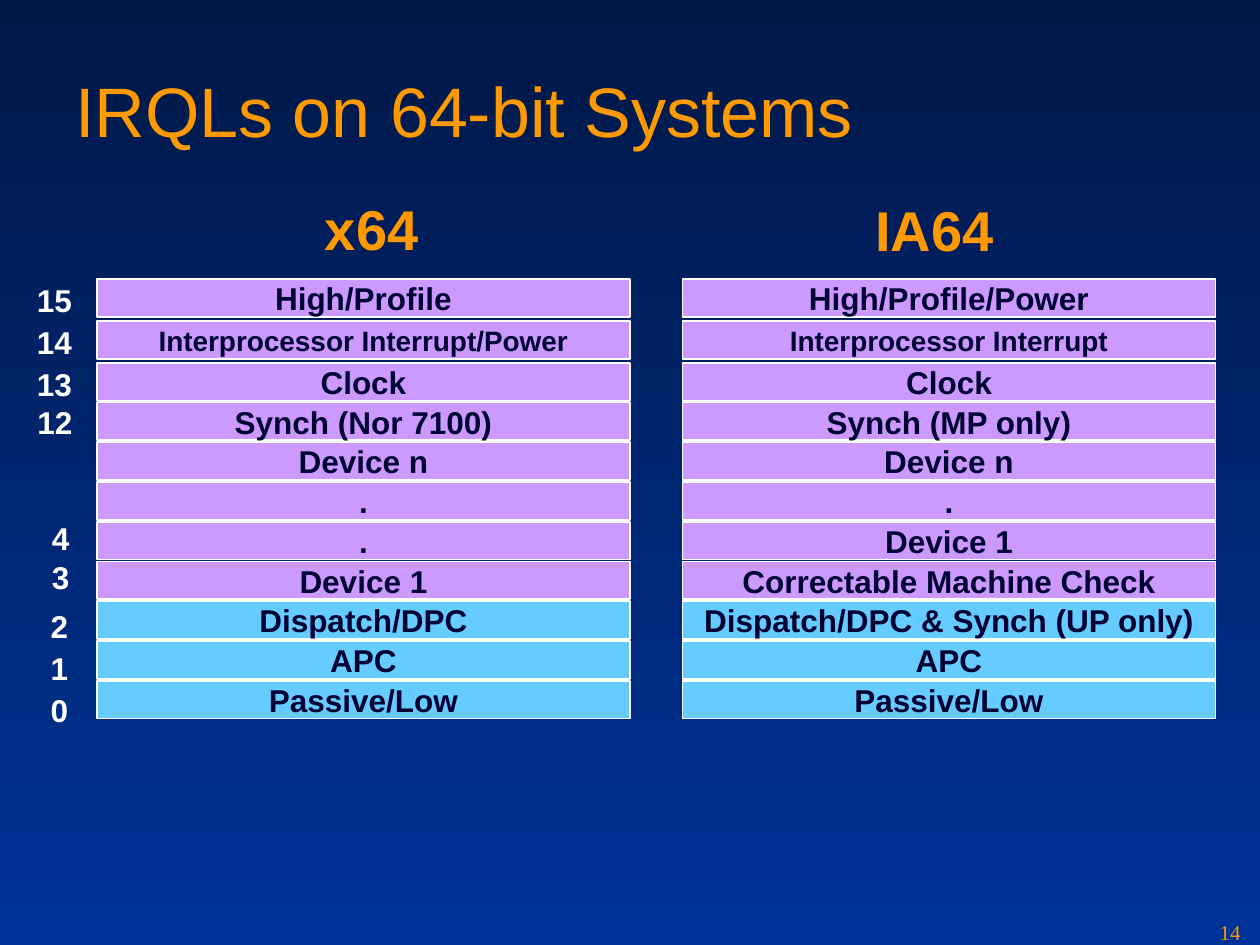
"""Build a slide comparing interrupt request levels on x64 and IA64."""
from pptx import Presentation
from pptx.dml.color import RGBColor
from pptx.enum import shapes, text
from pptx.util import Pt

NAVY = RGBColor(0x00, 0x17, 0x46)
BLUE = RGBColor(0x00, 0x33, 0x99)
ORANGE = RGBColor(0xFE, 0x99, 0x00)
WHITE = RGBColor(0xFF, 0xFF, 0xFF)
INK = RGBColor(0x00, 0x00, 0x33)
PURPLE = RGBColor(0xCC, 0x99, 0xFF)
SKY = RGBColor(0x66, 0xCC, 0xFF)

ROW_W, ROW_H = 304.6, 21.6
ROW_TOPS = [159.6, 183.6] + [207.4 + 22.7 * i for i in range(9)]
SOFTWARE_LEVELS = 3

X64 = ["High/Profile", "Interprocessor Interrupt/Power", "Clock",
       "Synch (Nor 7100)", "Device n", ".", ".", "Device 1",
       "Dispatch/DPC", "APC", "Passive/Low"]
IA64 = ["High/Profile/Power", "Interprocessor Interrupt", "Clock",
        "Synch (MP only)", "Device n", ".", "Device 1",
        "Correctable Machine Check", "Dispatch/DPC & Synch (UP only)",
        "APC", "Passive/Low"]
LEVELS = [("15", 14, 157), ("14", 14, 181.2), ("13", 14, 205.2),
          ("12", 14.2, 227), ("4", 22.6, 293), ("3", 22.6, 315.4),
          ("2", 21.9, 343.4), ("1", 21.9, 367.2), ("0", 21.9, 391.4)]


def set_background(s):
    fill = s.background.fill
    fill.gradient()
    fill.gradient_angle = 270
    for stop, color, position in zip(fill.gradient_stops, (NAVY, BLUE), (0, 1)):
        stop.color.rgb = color
        stop.position = position


def write(sp, words, size, color, bold=True, font="Arial"):
    tf = sp.text_frame
    tf.word_wrap = False
    p = tf.paragraphs[0]
    p.text = words
    p.font.size = Pt(size)
    p.font.name = font
    p.font.bold = bold
    p.font.color.rgb = color
    return tf


def add_label(s, words, x, y, w, h, size, color, **style):
    sp = s.shapes.add_textbox(Pt(x), Pt(y), Pt(w), Pt(h))
    return write(sp, words, size, color, **style)


def add_row(s, words, x, y, fill):
    sp = s.shapes.add_shape(shapes.MSO_SHAPE.RECTANGLE,
                            Pt(x), Pt(y), Pt(ROW_W), Pt(ROW_H))
    sp.shadow.inherit = False
    sp.fill.solid()
    sp.fill.fore_color.rgb = fill
    sp.line.color.rgb = WHITE
    sp.line.width = Pt(1)
    size = 16 if words.startswith("Interprocessor") else 18
    tf = write(sp, words, size, INK)
    tf.vertical_anchor = text.MSO_ANCHOR.MIDDLE
    tf.paragraphs[0].alignment = text.PP_ALIGN.CENTER


def add_stack(s, names, x):
    first_software = len(names) - SOFTWARE_LEVELS
    for i, (name, y) in enumerate(zip(names, ROW_TOPS)):
        add_row(s, name, x, y, SKY if i >= first_software else PURPLE)


def add_heading(s, words, x, y, w):
    tf = add_label(s, words, x, y, w, 42.5, 32, ORANGE)
    tf.margin_top = 0


def main():
    prs = Presentation()
    prs.slide_width, prs.slide_height = Pt(720), Pt(540)
    s = prs.slides.add_slide(prs.slide_layouts[6])
    set_background(s)
    title = add_label(s, "IRQLs on 64-bit Systems", 36, 17.3, 648, 90,
                      40, ORANGE, bold=False)
    title.word_wrap = True
    title.vertical_anchor = text.MSO_ANCHOR.MIDDLE
    add_stack(s, X64, 55.4)
    add_stack(s, IA64, 390)
    for level, x, y in LEVELS:
        add_label(s, level, x, y, 34.6 if len(level) == 2 else 24.5, 28.8,
                  18, WHITE)
    add_heading(s, "x64", 178.6, 110.9, 67.7)
    add_heading(s, "IA64", 493.2, 111.6, 82.1)
    number = add_label(s, "14", 689.8, 522, 30.2, 18, 12, ORANGE,
                       bold=False, font="Times New Roman")
    number.word_wrap = True
    prs.save("out.pptx")


if __name__ == "__main__":
    main()
